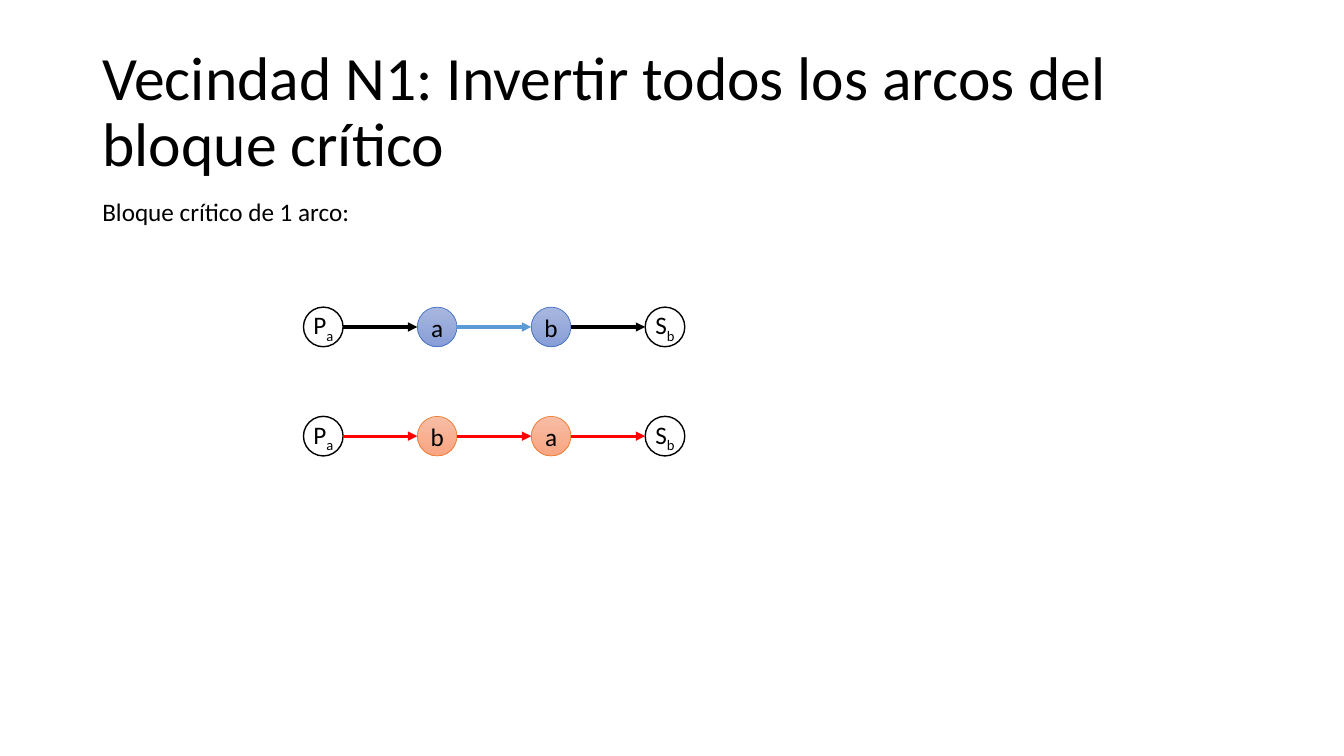
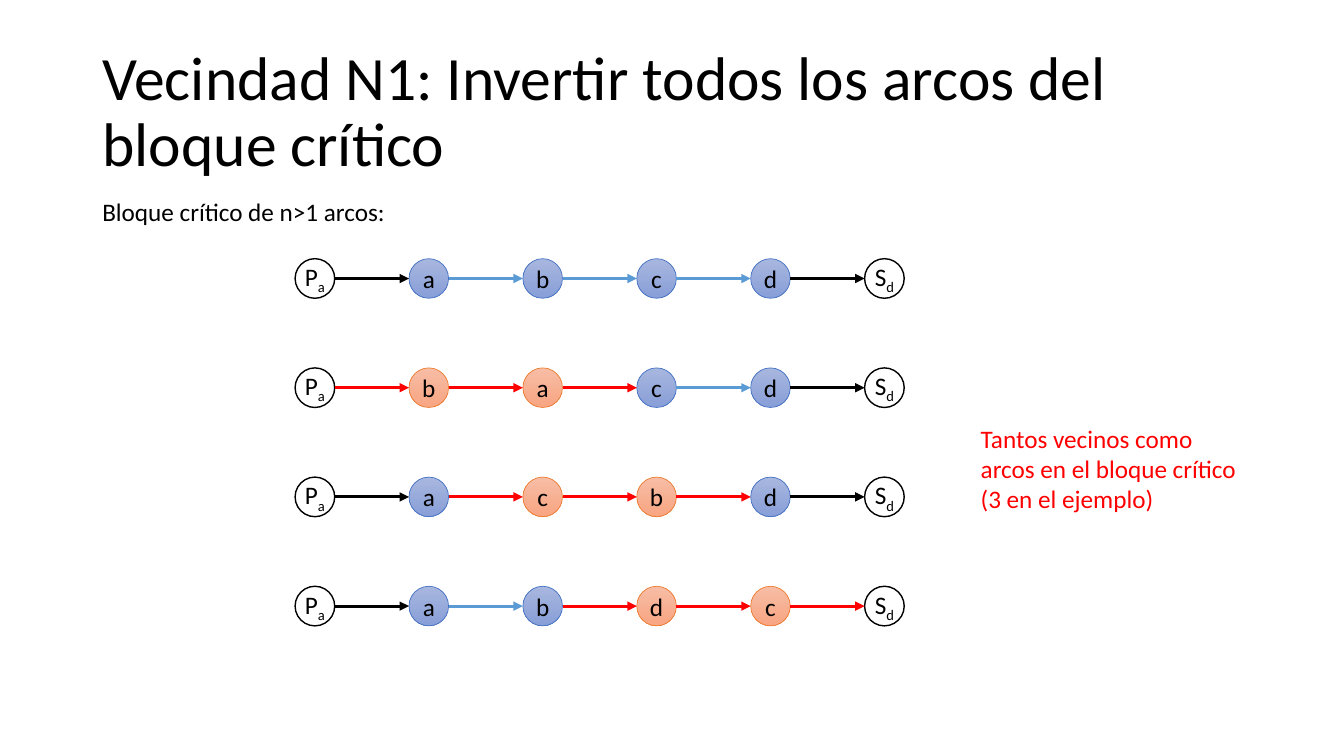
from lxml.etree import SubElement
from pptx import Presentation
from pptx.dml.color import RGBColor
from pptx.enum.shapes import MSO_CONNECTOR, MSO_SHAPE
from pptx.enum.text import MSO_ANCHOR, MSO_AUTO_SIZE, PP_ALIGN
from pptx.oxml.ns import qn
from pptx.util import Pt

FONT = "Calibri"
BLACK = RGBColor(0x00, 0x00, 0x00)
WHITE = RGBColor(0xFF, 0xFF, 0xFF)
RED = RGBColor(0xFF, 0x00, 0x00)
BLUE = RGBColor(0x5B, 0x9B, 0xD5)
KEPT = (RGBColor(0xA8, 0xB7, 0xDF), RGBColor(0x88, 0x9E, 0xD7), RGBColor(0x44, 0x72, 0xC4))
SWAPPED = (RGBColor(0xF7, 0xBD, 0xA5), RGBColor(0xF8, 0xA5, 0x82), RGBColor(0xED, 0x7D, 0x31))

TITLE = "Vecindad N1: Invertir todos los arcos del bloque crítico"
SIZE = 28.3
STEP = 81.36
GAP = 78
SLIDES = [
    ("Bloque crítico de 1 arco:", 193.7, 216.8, 219.4, ["ab", "ba"]),
    ("Bloque crítico de n>1 arcos:", 218.9, 210.8, 184.8, ["abcd", "bacd", "acbd", "abdc"]),
]


def style(frame, size, color):
    for par in frame.paragraphs:
        for run in par.runs:
            run.font.name = FONT
            run.font.size = Pt(size)
            run.font.color.rgb = color


def add_label(slide, text, box, color, wrap):
    frame = slide.shapes.add_textbox(*map(Pt, box)).text_frame
    frame.text = text
    frame.word_wrap = wrap
    frame.auto_size = MSO_AUTO_SIZE.SHAPE_TO_FIT_TEXT
    style(frame, 18, color)


deck = Presentation()
deck.slide_width = Pt(960)
deck.slide_height = Pt(540)

for label, width, left, top, chains in SLIDES:
    slide = deck.slides.add_slide(deck.slide_layouts[5])
    title = slide.shapes.title
    title.left, title.top, title.width, title.height = Pt(66), Pt(28.75), Pt(828), Pt(104.38)
    frame = title.text_frame
    frame.text = TITLE
    frame.vertical_anchor = MSO_ANCHOR.MIDDLE
    frame.auto_size = MSO_AUTO_SIZE.NONE
    frame.paragraphs[0].alignment = PP_ALIGN.LEFT
    frame.paragraphs[0].line_spacing = 0.9
    style(frame, 44, BLACK)

    base = chains[0]
    last = len(base)
    for row, chain in enumerate(chains):
        y = top + row * GAP
        names = ["Pa", *chain, "S" + base[-1]]
        moved = [False, *(new != old for new, old in zip(chain, base)), False]

        for col, name in enumerate(names):
            x = left + col * STEP
            node = slide.shapes.add_shape(MSO_SHAPE.OVAL, Pt(x), Pt(y), Pt(SIZE), Pt(SIZE))
            node.shadow.inherit = False
            if len(name) == 2:
                node.fill.solid()
                node.fill.fore_color.rgb = WHITE
                node.line.color.rgb = BLACK
                node.line.width = Pt(1)
            else:
                light, dark, edge = SWAPPED if moved[col] else KEPT
                node.fill.gradient()
                node.fill.gradient_angle = 270
                for stop, color in zip(node.fill.gradient_stops, (light, dark)):
                    stop.color.rgb = color
                node.line.color.rgb = edge
                node.line.width = Pt(0.5)

            frame = node.text_frame
            frame.margin_left = frame.margin_right = 0
            frame.margin_top = frame.margin_bottom = 0
            frame.vertical_anchor = MSO_ANCHOR.MIDDLE
            par = frame.paragraphs[0]
            par.alignment = PP_ALIGN.CENTER
            for letter in name:
                par.add_run().text = letter
            style(frame, 18, BLACK)
            for run in par.runs[1:]:
                run.font._element.set("baseline", "-25000")

        for col in range(last + 1):
            x = left + col * STEP
            mid = Pt(y + SIZE / 2)
            arc = slide.shapes.add_connector(
                MSO_CONNECTOR.STRAIGHT, Pt(x + SIZE), mid, Pt(x + STEP), mid
            )
            if moved[col] or moved[col + 1]:
                arc.line.color.rgb = RED
            else:
                arc.line.color.rgb = BLACK if col in (0, last) else BLUE
            arc.line.width = Pt(2.25)
            SubElement(arc.line._get_or_add_ln(), qn("a:tailEnd"), type="triangle")
            SubElement(arc._element.spPr, qn("a:effectLst"))

    add_label(slide, label, (66, 137, width, 29), BLACK, False)

add_label(
    slide,
    "Tantos vecinos como arcos en el bloque crítico\n(3 en el ejemplo)",
    (693.4, 298.8, 200.2, 72.7),
    RED,
    True,
)

deck.save("out.pptx")
